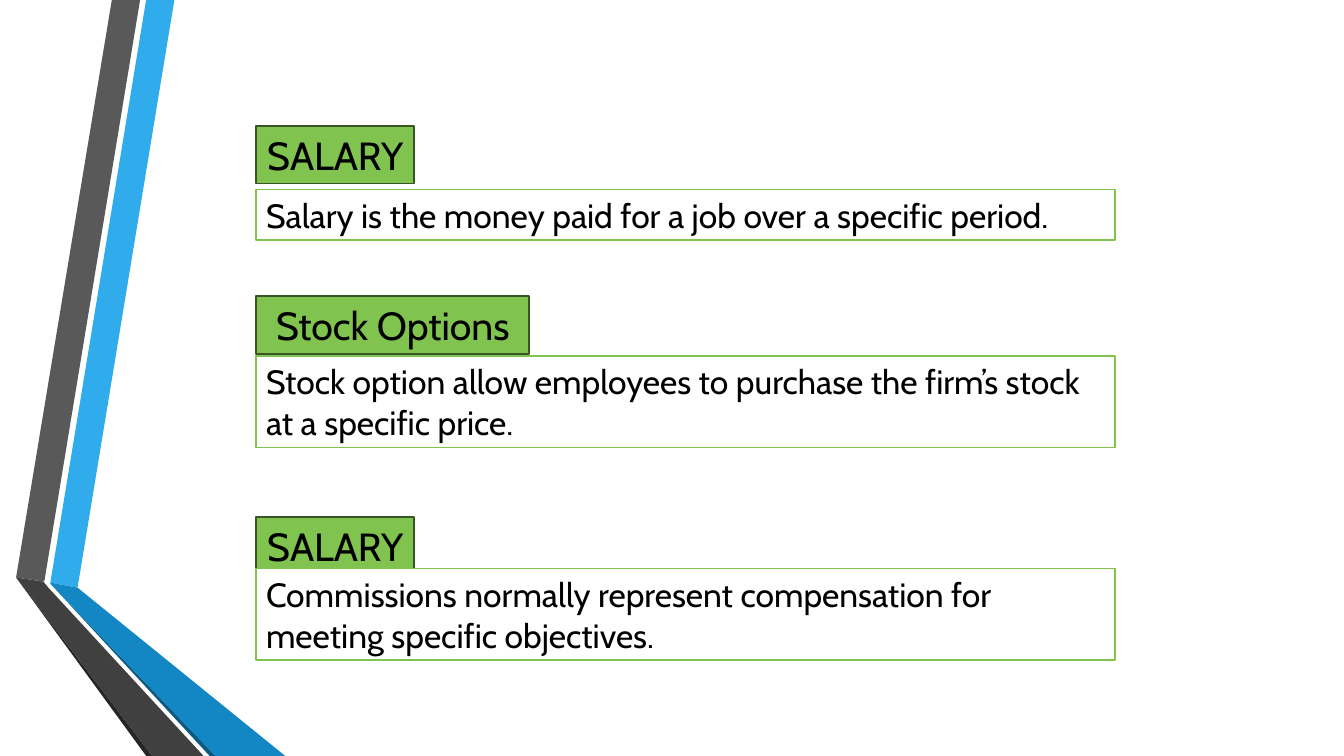
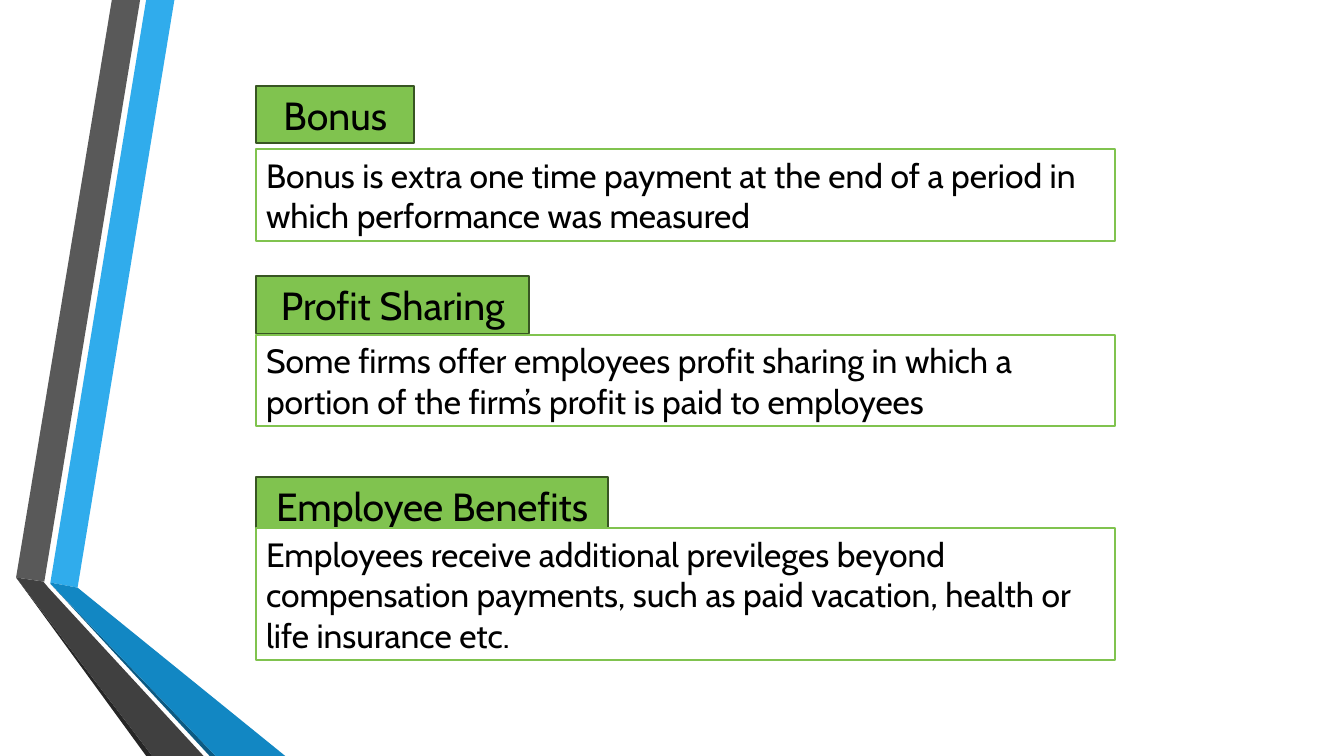
from pptx import Presentation
from pptx.dml.color import RGBColor
from pptx.enum.shapes import MSO_SHAPE
from pptx.enum.text import MSO_ANCHOR, MSO_AUTO_SIZE, PP_ALIGN
from pptx.util import Inches, Pt

RECT = MSO_SHAPE.RECTANGLE
MIDDLE = MSO_ANCHOR.MIDDLE
GROW = MSO_AUTO_SIZE.SHAPE_TO_FIT_TEXT
LEFT, CENTER = PP_ALIGN.LEFT, PP_ALIGN.CENTER

BLACK = RGBColor(0x00, 0x00, 0x00)
WHITE = RGBColor(0xFF, 0xFF, 0xFF)
GREEN = RGBColor(0x80, 0xC3, 0x4F)
DARK_GREEN = RGBColor(0x38, 0x55, 0x23)
SKY = RGBColor(0x30, 0xAC, 0xEC)
BLUE = RGBColor(0x12, 0x87, 0xC3)
NAVY = RGBColor(0x0C, 0x5A, 0x82)
GRAY = RGBColor(0x59, 0x59, 0x59)
DARK_GRAY = RGBColor(0x40, 0x40, 0x40)
CHARCOAL = RGBColor(0x26, 0x26, 0x26)

FONT = "Cabin"
BOX_LEFT = 2.54
BODY_WIDTH = 8.52
HEADING_HEIGHT = 0.57

RIBBONS = [
    (SKY, [(0.5, 5.78), (0.77, 5.83), (1.73, 0), (1.45, 0)]),
    (GRAY, [(1.39, 0), (1.11, 0), (0.16, 5.73), (0.44, 5.77)]),
    (CHARCOAL, [(0.16, 5.73), (1.45, 7.5), (1.51, 7.5)]),
    (NAVY, [(0.5, 5.79), (2.08, 7.5), (2.14, 7.5)]),
    (BLUE, [(0.5, 5.78), (0.5, 5.79), (2.14, 7.5), (2.83, 7.5), (0.77, 5.83)]),
    (DARK_GRAY, [(2.02, 7.5), (0.48, 5.83), (0.43, 5.77), (0.16, 5.73), (1.51, 7.5)]),
]

# heading, heading top, heading width, body, body top, body height
SLIDES = [
    [
        ("SALARY", 1.25, 1.57,
         "Salary is the money paid for a job over a specific period.", 1.88, 0.5),
        ("Stock Options", 2.94, 2.71,
         "Stock option allow employees to purchase the firm’s stock at a specific price.",
         3.53, 0.91),
        ("SALARY", 5.13, 1.57,
         "Commissions normally represent compensation for meeting specific objectives.",
         5.64, 0.91),
    ],
    [
        ("Bonus", 0.85, 1.57,
         "Bonus is extra one time payment at the end of a period in which "
         "performance was measured", 1.48, 0.91),
        ("Profit Sharing", 2.74, 2.71,
         "Some firms offer employees profit sharing in which a portion of the "
         "firm’s profit is paid to employees", 3.32, 0.91),
        ("Employee Benefits", 4.73, 3.49,
         "Employees receive additional previleges beyond compensation payments, "
         "such as paid vacation, health or life insurance etc.", 5.24, 1.31),
    ],
]


def add_ribbons(s):
    for color, points in RIBBONS:
        start, *rest = [(Inches(x), Inches(y)) for x, y in points]
        builder = s.shapes.build_freeform(*start)
        builder.add_line_segments(rest)
        sp = builder.convert_to_shape()
        sp.shadow.inherit = False
        sp.fill.solid()
        sp.fill.fore_color.rgb = color
        sp.line.fill.background()


def add_box(s, text, top, width, height, fill, line, size, align):
    sp = s.shapes.add_shape(RECT, Inches(BOX_LEFT), Inches(top), Inches(width), Inches(height))
    sp.shadow.inherit = False
    sp.fill.solid()
    sp.fill.fore_color.rgb = fill
    sp.line.color.rgb = line
    sp.line.width = Pt(1.25)
    tf = sp.text_frame
    tf.word_wrap = True
    tf.auto_size = GROW
    tf.vertical_anchor = MIDDLE
    p = tf.paragraphs[0]
    p.text = text
    p.alignment = align
    p.font.name = FONT
    p.font.size = Pt(size)
    p.font.color.rgb = BLACK


def main():
    prs = Presentation()
    prs.slide_width, prs.slide_height = Inches(13.33), Inches(7.5)
    for sections in SLIDES:
        s = prs.slides.add_slide(prs.slide_layouts[6])
        add_ribbons(s)
        for heading, heading_top, heading_width, body, body_top, body_height in sections:
            add_box(s, heading, heading_top, heading_width, HEADING_HEIGHT,
                    GREEN, DARK_GREEN, 28, CENTER)
            add_box(s, body, body_top, BODY_WIDTH, body_height, WHITE, GREEN, 24, LEFT)
    prs.save("out.pptx")


if __name__ == "__main__":
    main()
